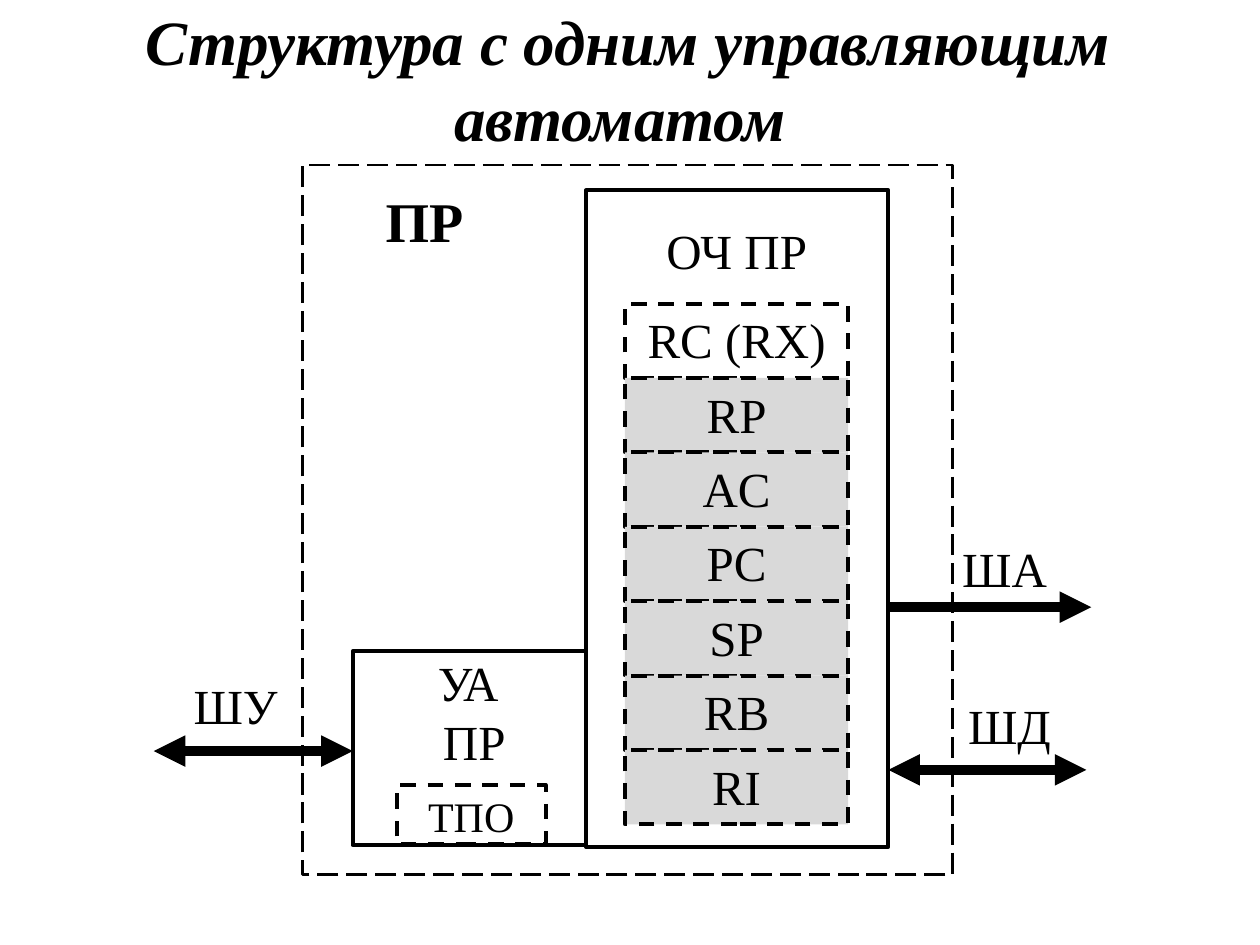
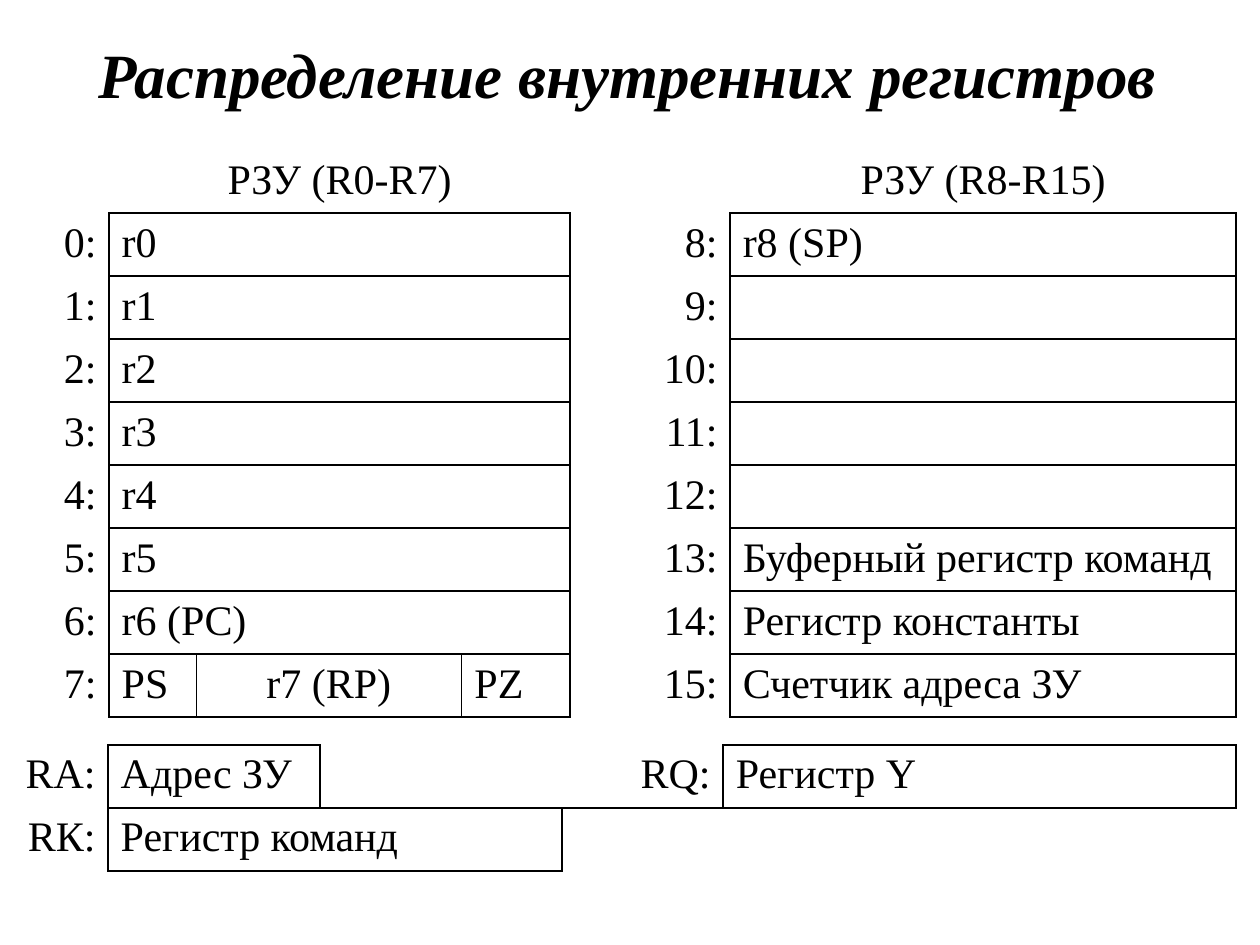
from lxml.etree import SubElement
from pptx import Presentation
from pptx.dml.color import RGBColor
from pptx.enum.dml import MSO_LINE_DASH_STYLE as DASH
from pptx.enum.shapes import MSO_CONNECTOR as CONN, MSO_SHAPE as SHAPE
from pptx.enum.text import MSO_ANCHOR as ANCHOR, MSO_AUTO_SIZE as AUTO, PP_ALIGN as ALIGN
from pptx.oxml import parse_xml
from pptx.oxml.ns import nsdecls, qn
from pptx.util import Cm, Pt

FONT = "Times New Roman"
BLACK, GRAY = "000000", "D9D9D9"
BORDER = 1.08
NO_GRID_STYLE = "{2D5ABB26-0587-4C30-8999-92F81FD0307C}"


def rgb(code):
    """Turn a hex string into a colour."""
    return RGBColor.from_string(code)


def write(tf, lines, size=28, align=ALIGN.CENTER, bold=False, italic=False):
    """Fill a text frame, one paragraph for each line."""
    for i, line in enumerate(lines):
        p = tf.add_paragraph() if i else tf.paragraphs[0]
        p.alignment = align
        r = p.add_run()
        r.text = line
        f = r.font
        f.name, f.size, f.bold, f.italic = FONT, Pt(size), bold, italic
        f.color.rgb = rgb(BLACK)


def add_titled_slide(prs, title, left, top, width, height):
    """Add a title-only slide with its title in the given box."""
    s = prs.slides.add_slide(prs.slide_layouts[5])
    sp = s.shapes.title
    sp.left, sp.top, sp.width, sp.height = Cm(left), Cm(top), Cm(width), Cm(height)
    tf = sp.text_frame
    tf.word_wrap, tf.auto_size, tf.vertical_anchor = True, AUTO.NONE, ANCHOR.MIDDLE
    write(tf, [title], 36, bold=True, italic=True)
    return s


def add_label(s, lines, left, top, width=3.5, height=1.5, **style):
    """Add a text box with centred lines."""
    tf = s.shapes.add_textbox(Cm(left), Cm(top), Cm(width), Cm(height)).text_frame
    tf.word_wrap = True
    write(tf, lines, **style)


def add_box(s, left, top, width, height, text=None, size=28, fill=None,
            line=2.24, dash=None):
    """Add an outlined rectangle, with text at its top if given."""
    sp = s.shapes.add_shape(SHAPE.RECTANGLE, Cm(left), Cm(top), Cm(width), Cm(height))
    sp.shadow.inherit = False
    if fill:
        sp.fill.solid()
        sp.fill.fore_color.rgb = rgb(fill)
    else:
        sp.fill.background()
    sp.line.color.rgb, sp.line.width = rgb(BLACK), Pt(line)
    if dash:
        sp.line.dash_style = dash
    if text:
        tf = sp.text_frame
        tf.word_wrap, tf.vertical_anchor = True, ANCHOR.TOP
        write(tf, [text], size)


def add_bus(s, name, left, right, y, label_dx, label_dy, ends=("tailEnd",)):
    """Add a thick bus arrow and its name, offset from the left end."""
    cx = s.shapes.add_connector(CONN.STRAIGHT, Cm(left), Cm(y), Cm(right), Cm(y))
    cx.line.color.rgb, cx.line.width = rgb(BLACK), Pt(6)
    ln = cx.line._get_or_add_ln()
    for end in ends:
        SubElement(ln, qn("a:" + end), type="triangle")
    SubElement(cx._element.spPr, qn("a:effectLst"))
    add_label(s, [name], left + label_dx, y + label_dy)


def add_control_unit(s, left, top, width, height):
    """Draw the control automaton with its inner block."""
    add_box(s, left, top, width, height)
    add_label(s, ["УА ", "ПР"], left + 0.1, top - 0.1, width, 2.2)
    add_box(s, left + 0.89, top + 2.69, 3, 1.2, "ТПО", 24, dash=DASH.DASH)


def add_operating_unit(s, left, top, width, height):
    """Draw the operating part with its stack of registers."""
    add_box(s, left, top, width, height)
    add_label(s, ["ОЧ ПР"], left + 0.69, top + 0.48, 4.7)
    for i, name in enumerate(["RС (RX)", "RP", "AC", "PC", "SP", "RB", "RI"]):
        add_box(s, left + 0.79, top + 2.28 + 1.5 * i, 4.5, 1.5, name,
                fill=GRAY if i else None, dash=DASH.DASH)


def add_processor(s, left, top, width, height):
    """Draw the processor outline, its units and its buses."""
    both = ("headEnd", "tailEnd")
    unit_x = left + 5.71
    edge = unit_x + 6.1
    add_control_unit(s, left + 1.01, top + 9.8, 4.7, 3.91)
    add_operating_unit(s, unit_x, top + 0.51, 6.1, 13.23)
    add_bus(s, "ША", edge, edge + 4.09, top + 8.91, 0.59, -1.5)
    add_bus(s, "ШД", edge, edge + 3.99, top + 12.19, 0.69, -1.62, both)
    add_bus(s, "ШУ", left - 3, left + 1.01, top + 11.81, -0.1, -1.64, both)
    add_box(s, left, top, width, height, line=1.5, dash=DASH.LONG_DASH)
    add_label(s, ["ПР"], left + 0.71, top + 0.3, size=32, bold=True)


def add_grid(s, left, top, widths, rows, row_height=1.27):
    """Add a plain table without style, fills or borders."""
    frame = s.shapes.add_table(rows, len(widths), Cm(left), Cm(top),
                               Cm(sum(widths)), Cm(row_height * rows))
    table = frame.table
    table.first_row = table.horz_banding = False
    table._tbl.tblPr.find(qn("a:tableStyleId")).text = NO_GRID_STYLE
    for column, width in zip(table.columns, widths):
        column.width = Cm(width)
    for row in table.rows:
        row.height = Cm(row_height)
    for cell in table.iter_cells():
        cell.fill.background()
    return table


def set_borders(cell, **sides):
    """Draw cell borders, given as side letter = width in points."""
    tcPr = cell._tc.get_or_add_tcPr()
    for i, side in enumerate(side for side in "LRTB" if side in sides):
        tcPr.insert(i, parse_xml(
            f'<a:ln{side} {nsdecls("a")} w="{Pt(sides[side])}"><a:solidFill>'
            f'<a:srgbClr val="{BLACK}"/></a:solidFill></a:ln{side}>'))


def fill_cell(table, row, col, text, span=1, align=ALIGN.LEFT, framed=True,
              left=BORDER, right=BORDER):
    """Write a cell, merged over span columns and framed if asked."""
    cell = table.cell(row, col)
    if span > 1:
        cell.merge(table.cell(row, col + span - 1))
    if framed:
        for c in range(col, col + span):
            set_borders(table.cell(row, c), L=left, R=right, T=BORDER, B=BORDER)
    if text:
        write(cell.text_frame, [text], 24, align)


def add_register_file(s, left, top):
    """Draw the two banks of eight numbered registers."""
    table = add_grid(s, left, top, [1.8, 1.75, 5.36, 2.18, 1.22, 2.01, 10.2], 10)
    low = ["r0", "r1", "r2", "r3", "r4", "r5", "r6 (PC)"]
    high = ["r8 (SP)", "", "", "", "", "Буферный регистр команд",
            "Регистр константы", "Счетчик адреса ЗУ"]
    fill_cell(table, 0, 1, "РЗУ (R0-R7)", 3, ALIGN.CENTER, framed=False)
    fill_cell(table, 0, 6, "РЗУ (R8-R15)", 1, ALIGN.CENTER, framed=False)
    for i, name in enumerate(high):
        fill_cell(table, i + 1, 0, f"{i}:", align=ALIGN.RIGHT, framed=False)
        fill_cell(table, i + 1, 5, f"{i + 8}:", align=ALIGN.RIGHT, framed=False)
        fill_cell(table, i + 1, 6, name)
    for i, name in enumerate(low):
        fill_cell(table, i + 1, 1, name, 3)
    thin = 0.45
    fill_cell(table, 8, 1, "PS", right=thin)
    fill_cell(table, 8, 2, "r7 (RP)", align=ALIGN.CENTER, left=thin, right=thin)
    fill_cell(table, 8, 3, "PZ", left=thin)


def add_special_registers(s, left, top):
    """Draw the address, command and Y registers."""
    widths = [2.18, 4.27, 4.88, 0.81, 2.44, 0.51, 1.45, 7.67, 0.71]
    table = add_grid(s, left, top, widths, 2)
    for row, col, name in [(0, 0, "RA:"), (0, 4, "RQ:"), (1, 0, "RК:")]:
        fill_cell(table, row, col, name, align=ALIGN.RIGHT, framed=False)
    fill_cell(table, 0, 1, "Адрес ЗУ")
    fill_cell(table, 0, 5, "Регистр Y", 4)
    fill_cell(table, 1, 1, "Регистр команд", 2)
    fill_cell(table, 1, 3, "", 3, framed=False)
    for col in (2, 3, 4):
        set_borders(table.cell(0, col), B=BORDER)
    for col in range(3, 9):
        set_borders(table.cell(1, col), T=BORDER)


prs = Presentation()
prs.slide_width, prs.slide_height = Cm(25.4), Cm(19.05)

s = add_titled_slide(prs, " Структура с одним управляющим автоматом", 0, 0.33, 25, 2.5)
add_processor(s, 6.1, 3.33, 13.1, 14.3)

s = add_titled_slide(prs, "Распределение внутренних регистров", 0.6, 0.53, 24.1, 1.9)
add_register_file(s, 0.4, 3.03)
add_special_registers(s, 0, 15.02)

prs.save("out.pptx")
